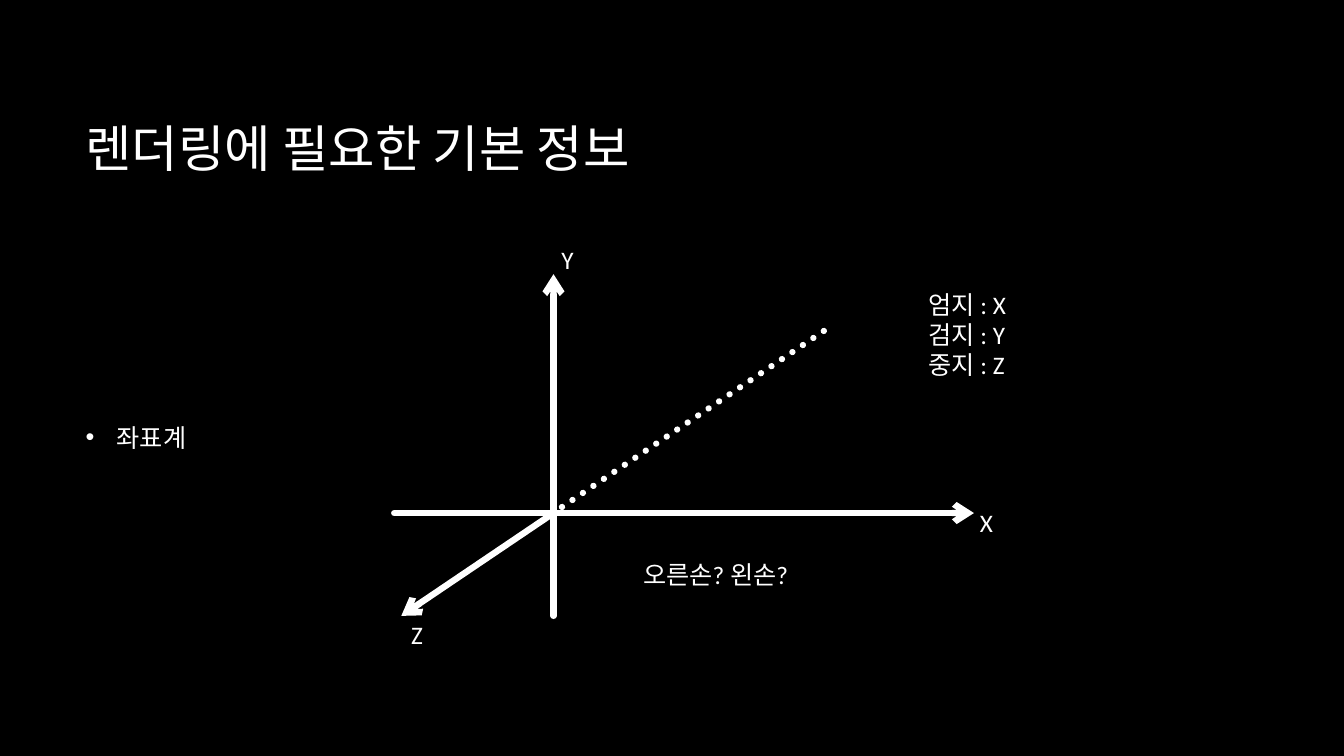
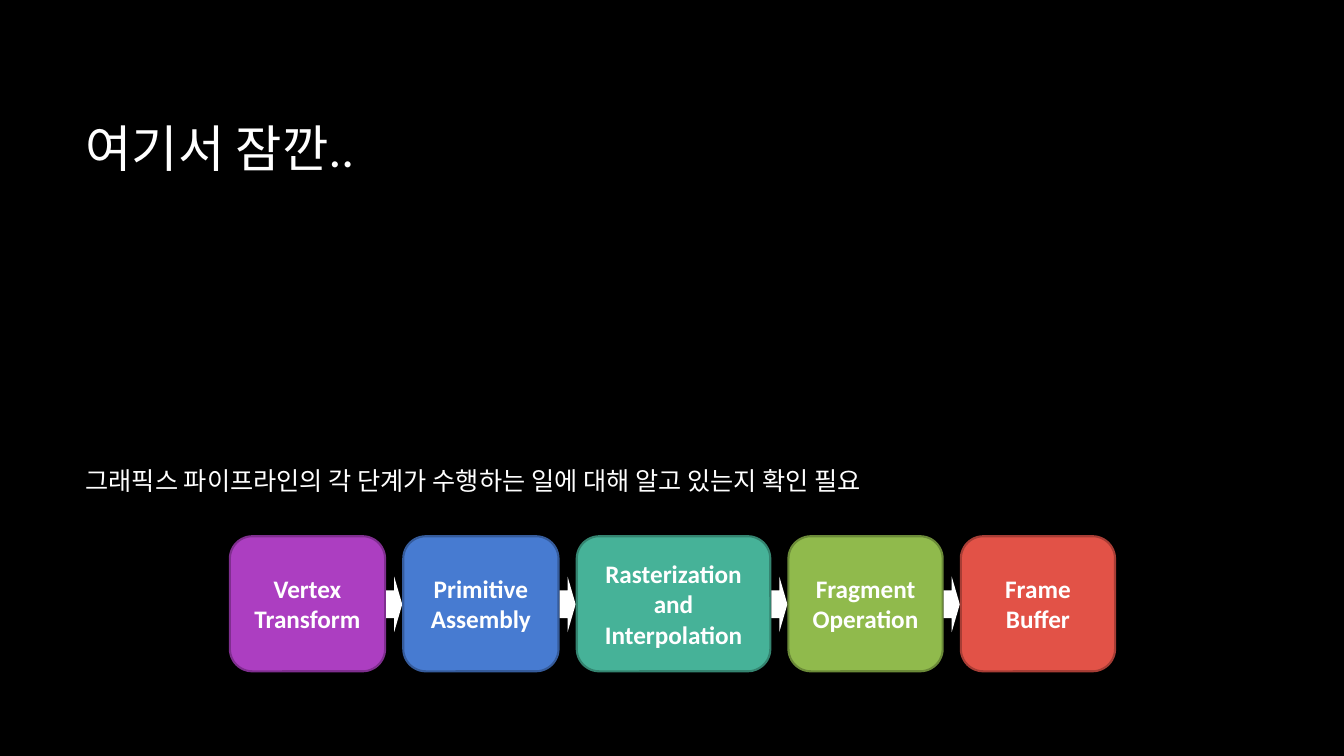
"""Build two slides: a coordinate system and the graphics pipeline."""
from lxml import etree
from pptx import Presentation
from pptx.dml.color import RGBColor
from pptx.enum.dml import MSO_LINE
from pptx.enum.shapes import MSO_CONNECTOR, MSO_SHAPE
from pptx.enum.text import MSO_ANCHOR, PP_ALIGN
from pptx.oxml.ns import qn
from pptx.util import Inches, Pt

STRAIGHT = MSO_CONNECTOR.STRAIGHT
ROUND_DOT = MSO_LINE.ROUND_DOT
ROUNDED, ARROW = MSO_SHAPE.ROUNDED_RECTANGLE, MSO_SHAPE.RIGHT_ARROW
TOP, MIDDLE = MSO_ANCHOR.TOP, MSO_ANCHOR.MIDDLE
LEFT, CENTER = PP_ALIGN.LEFT, PP_ALIGN.CENTER

FONT = "Calibri"
COLORS = {
    "background": "000000", "white": "FFFFFF",
    "purple": "AC3EC1", "purple edge": "7F2E8F",
    "blue": "477BD1", "blue edge": "355B9B",
    "teal": "46B298", "teal edge": "348470",
    "green": "90BA4C", "green edge": "6B8A38",
    "red": "E25247", "red edge": "A73D35",
}
COLORS = {name: RGBColor.from_string(value) for name, value in COLORS.items()}


def write_text(shape, text, size=18, bold=False, align=LEFT, anchor=TOP, bullet=False):
    frame = shape.text_frame
    frame.word_wrap = True
    frame.vertical_anchor = anchor
    frame.text = text
    for paragraph in frame.paragraphs:
        paragraph.alignment = align
        paragraph.font.name = FONT
        paragraph.font.size = Pt(size)
        paragraph.font.bold = bold
        paragraph.font.color.rgb = COLORS["white"]
        if bullet:
            properties = paragraph._p.get_or_add_pPr()
            properties.set("marL", str(Inches(0.31)))
            properties.set("indent", str(-Inches(0.31)))
            mark_font = etree.Element(qn("a:buFont"), typeface="Arial")
            mark = etree.Element(qn("a:buChar"), char="•")
            properties.insert(0, mark_font)
            properties.insert(1, mark)


def add_text(slide, text, left, top, width, height, **text_format):
    box = slide.shapes.add_textbox(Inches(left), Inches(top), Inches(width), Inches(height))
    write_text(box, text, **text_format)


presentation = Presentation()
presentation.slide_width = Inches(13.33)
presentation.slide_height = Inches(7.5)
blank_layout = presentation.slide_layouts[6]

slides = []
for title in ("렌더링에 필요한 기본 정보", "여기서 잠깐.."):
    slide = presentation.slides.add_slide(blank_layout)
    slide.background.fill.solid()
    slide.background.fill.fore_color.rgb = COLORS["background"]
    add_text(slide, title, 0.75, 0.67, 11.08, 1.59, size=36, anchor=MIDDLE)
    slides.append(slide)
axes_slide, pipeline_slide = slides

add_text(axes_slide, "좌표계", 0.75, 2.34, 11.08, 3.99, anchor=MIDDLE, bullet=True)
axes = [
    (3.91, 5.09, 9.66, 5.09, True),
    (5.49, 6.11, 5.49, 2.72, True),
    (5.47, 5.1, 8.25, 3.23, False),
    (5.49, 5.09, 3.98, 6.11, True),
]
for start_x, start_y, end_x, end_y, has_arrow in axes:
    axis = axes_slide.shapes.add_connector(
        STRAIGHT, Inches(start_x), Inches(start_y), Inches(end_x), Inches(end_y))
    axis.line.color.rgb = COLORS["white"]
    axis.line.width = Pt(4.5)
    line_xml = axis.line._get_or_add_ln()
    line_xml.set("cap", "rnd")
    if has_arrow:
        etree.SubElement(line_xml, qn("a:tailEnd"), type="arrow")
    else:
        axis.line.dash_style = ROUND_DOT
    etree.SubElement(axis._element.spPr, qn("a:effectLst"))

labels = [
    ("X", 9.62, 4.98, 0.43, 0.4),
    ("Z", 3.98, 6.09, 0.43, 0.4),
    ("Y", 5.47, 2.37, 0.43, 0.4),
    ("오른손? 왼손?", 6.28, 5.5, 2.05, 0.4),
    ("엄지 : X\n검지 : Y\n중지 : Z", 9.11, 2.82, 2.14, 1.01),
]
for label in labels:
    add_text(axes_slide, *label)

add_text(pipeline_slide, "그래픽스 파이프라인의 각 단계가 수행하는 일에 대해 알고 있는지 확인 필요",
         0.75, 4.52, 11.08, 0.5, anchor=MIDDLE)
stages = [
    ("Vertex Transform", 1.54, "purple"),
    ("Primitive Assembly", 1.54, "blue"),
    ("Rasterization and Interpolation", 1.92, "teal"),
    ("Fragment Operation", 1.53, "green"),
    ("Frame Buffer", 1.53, "red"),
]
STAGE_GAP = 0.18
stage_left = 2.28
for index, (name, width, color) in enumerate(stages):
    stage = pipeline_slide.shapes.add_shape(
        ROUNDED, Inches(stage_left), Inches(5.32), Inches(width), Inches(1.34))
    stage.shadow.inherit = False
    stage.fill.solid()
    stage.fill.fore_color.rgb = COLORS[color]
    stage.line.color.rgb = COLORS[color + " edge"]
    stage.line.width = Pt(1.5)
    write_text(stage, name, bold=True, align=CENTER, anchor=MIDDLE)
    stage_left += width + STAGE_GAP
    if index < len(stages) - 1:
        arrow = pipeline_slide.shapes.add_shape(
            ARROW, Inches(stage_left - STAGE_GAP + 0.01), Inches(5.72), Inches(0.16), Inches(0.55))
        arrow.shadow.inherit = False
        arrow.fill.solid()
        arrow.fill.fore_color.rgb = COLORS["white"]
        arrow.line.fill.background()

presentation.save("out.pptx")
